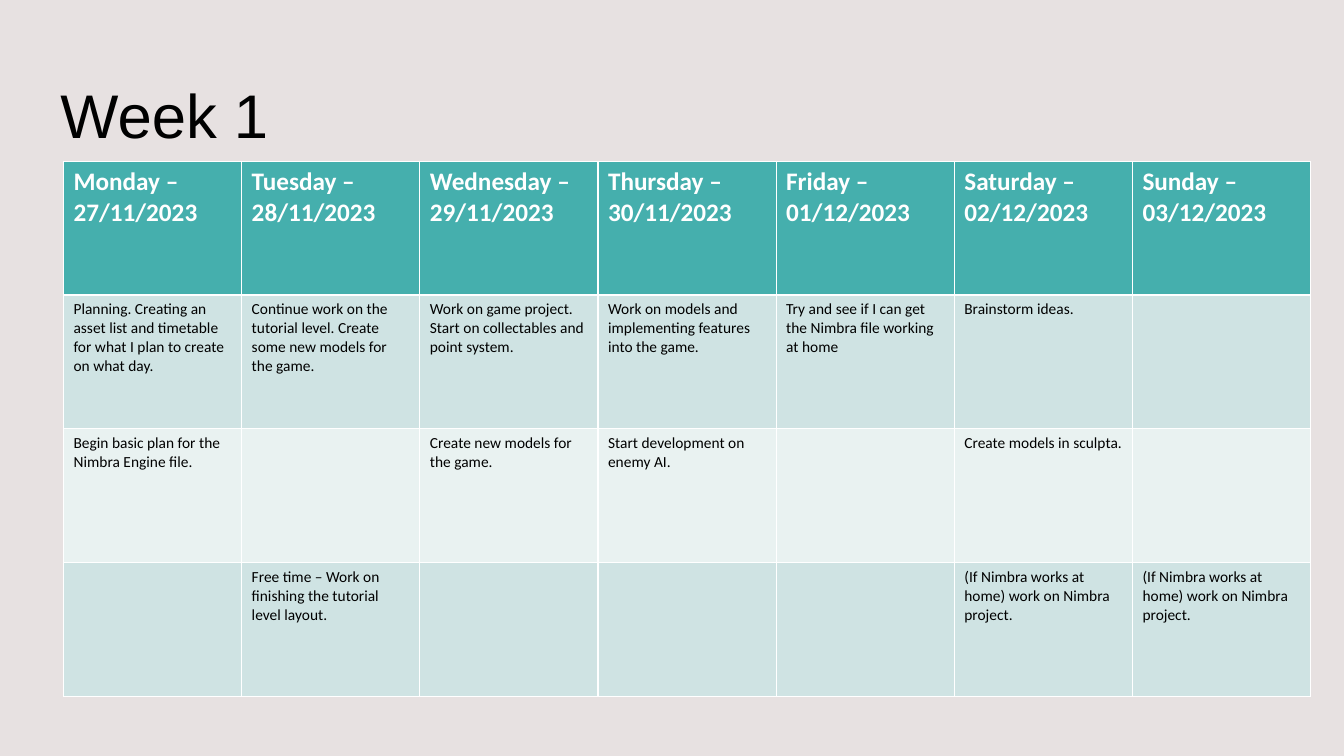
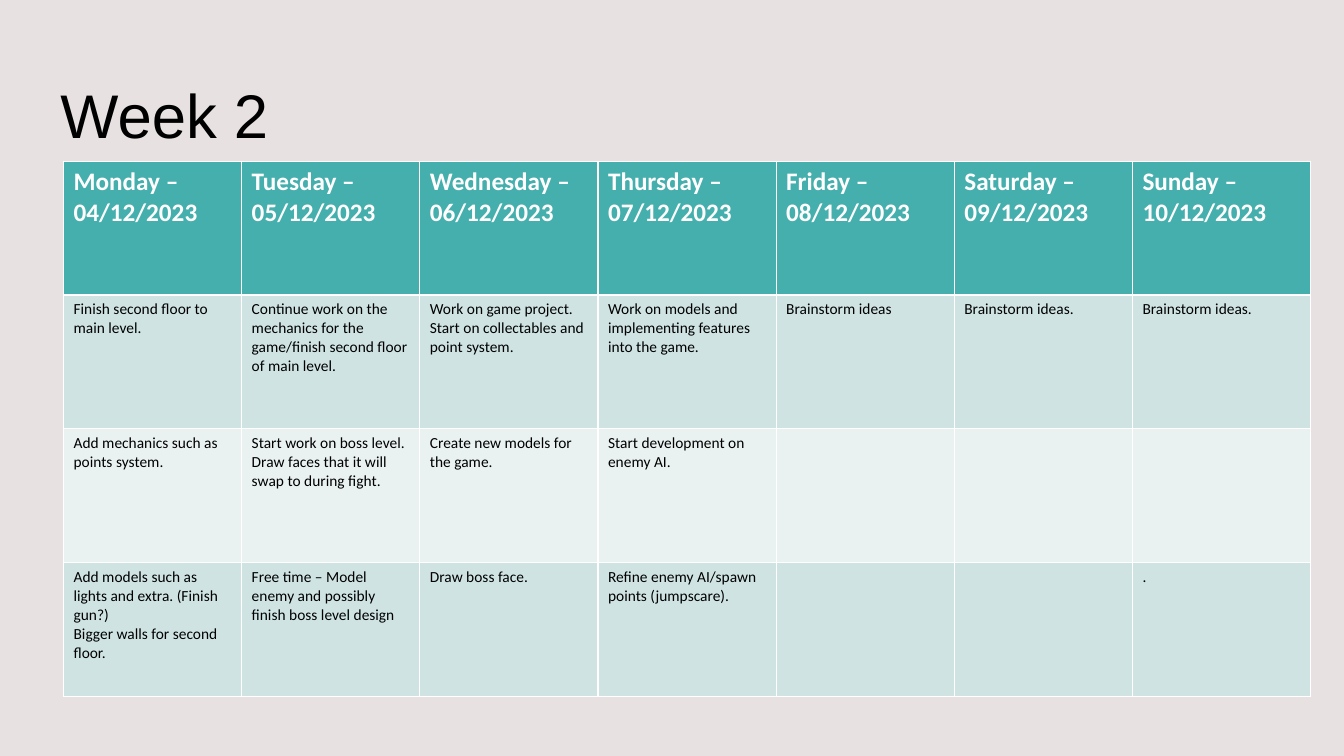
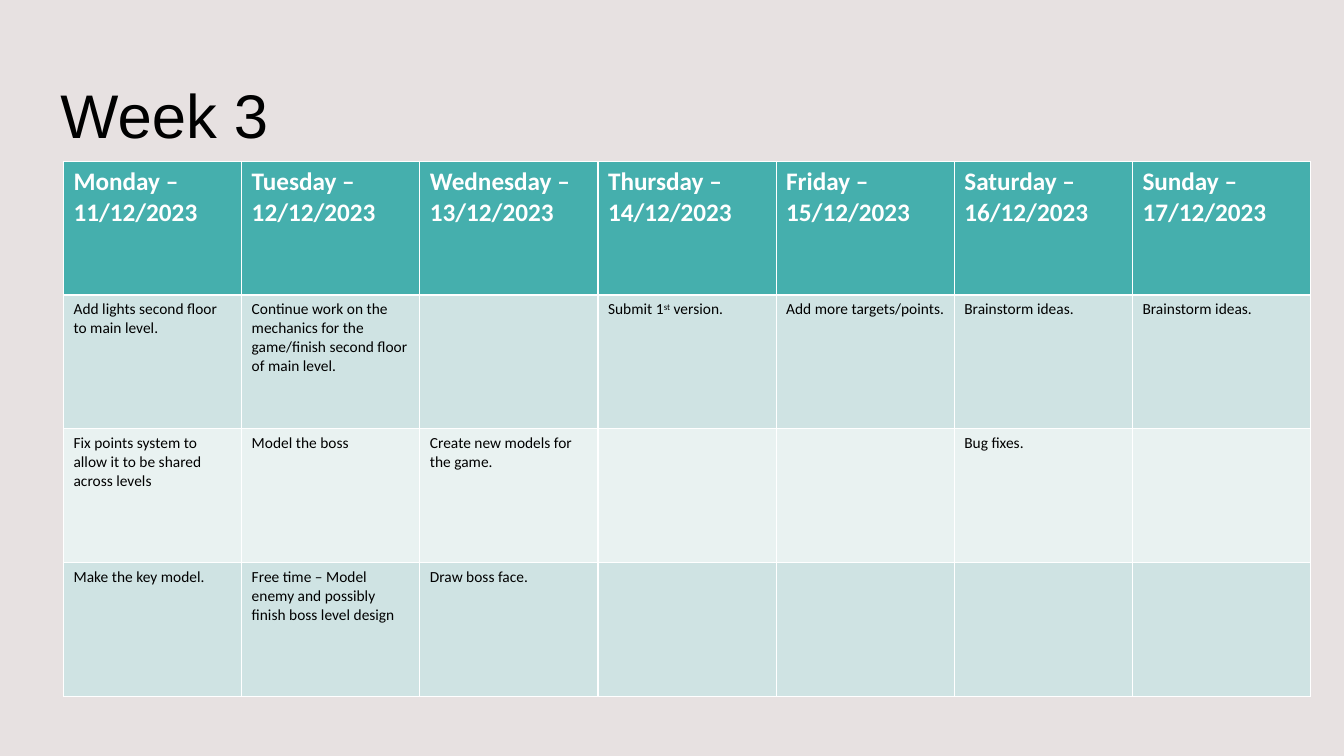
from dataclasses import dataclass

from lxml.etree import SubElement
from pptx import Presentation
from pptx.dml.color import RGBColor as Color
from pptx.enum.shapes import MSO_SHAPE as Preset
from pptx.enum.text import MSO_ANCHOR as Anchor, PP_ALIGN as Align
from pptx.oxml.ns import qn
from pptx.util import Inches, Pt


@dataclass(frozen=True)
class Theme:
    veil: Color = Color.from_string("DED5D5")
    header: Color = Color.from_string("45AFAD")
    bands: tuple = (Color.from_string("CFE3E3"), Color.from_string("E9F2F1"))
    white: Color = Color.from_string("FFFFFF")
    black: Color = Color.from_string("000000")


THEME = Theme()
TITLE_FONT = {"name": "Arial", "size": Pt(44), "bold": False}
HEADER_FONT = {"name": "Calibri", "size": Pt(18), "bold": True}
BODY_FONT = {"name": "Calibri", "size": Pt(11), "bold": False}
TITLE_BOX = {"left": Inches(0.5), "top": Inches(0.4), "width": Inches(11.92), "height": Inches(1.45)}
TABLE_BOX = {"left": Inches(0.63), "top": Inches(1.6), "width": Inches(12.37), "height": Inches(5.31)}

DAYS = ["Monday", "Tuesday", "Wednesday", "Thursday", "Friday", "Saturday", "Sunday"]
FIRST_MONDAY = 27
NOVEMBER_DAYS = 30

WEEKS = [
    [
        [
            "Planning. Creating an asset list and timetable for what I plan to create on what day.",
            "Continue work on the tutorial level. Create some new models for the game.",
            "Work on game project. Start on collectables and point system.",
            "Work on models and implementing features into the game.",
            "Try and see if I can get the Nimbra file working at home",
            "Brainstorm ideas.",
            "",
        ],
        [
            "Begin basic plan for the Nimbra Engine file.",
            "",
            "Create new models for the game.",
            "Start development on enemy AI.",
            "",
            "Create models in sculpta.",
            "",
        ],
        [
            "",
            "Free time – Work on finishing the tutorial level layout.",
            "",
            "",
            "",
            "(If Nimbra works at home) work on Nimbra project.",
            "(If Nimbra works at home) work on Nimbra project.",
        ],
    ],
    [
        [
            "Finish second floor to main level.",
            "Continue work on the mechanics for the game/finish second floor of main level.",
            "Work on game project. Start on collectables and point system.",
            "Work on models and implementing features into the game.",
            "Brainstorm ideas",
            "Brainstorm ideas.",
            "Brainstorm ideas.",
        ],
        [
            "Add mechanics such as points system.",
            "Start work on boss level. Draw faces that it will swap to during fight.",
            "Create new models for the game.",
            "Start development on enemy AI.",
            "",
            "",
            "",
        ],
        [
            "Add models such as lights and extra. (Finish gun?)\nBigger walls for second floor.",
            "Free time – Model enemy and possibly finish boss level design",
            "Draw boss face.",
            "Refine enemy AI/spawn points (jumpscare).",
            "",
            "",
            ".",
        ],
    ],
    [
        [
            "Add lights second floor to main level.",
            "Continue work on the mechanics for the game/finish second floor of main level.",
            "",
            "Submit 1^st^ version.",
            "Add more targets/points.",
            "Brainstorm ideas.",
            "Brainstorm ideas.",
        ],
        [
            "Fix points system to allow it to be shared across levels",
            "Model the boss",
            "Create new models for the game.",
            "",
            "",
            "Bug fixes.",
            "",
        ],
        [
            "Make the key model.",
            "Free time – Model enemy and possibly finish boss level design",
            "Draw boss face.",
            "",
            "",
            "",
            "",
        ],
    ],
]


def write(frame, text, font, color):
    for line_number, line in enumerate(text.split("\n")):
        para = frame.add_paragraph() if line_number else frame.paragraphs[0]
        para.alignment = Align.LEFT
        for part_number, part in enumerate(line.split("^")):
            span = para.add_run()
            span.text = part
            for name, value in font.items():
                setattr(span.font, name, value)
            span.font.color.rgb = color
            if part_number % 2:
                span._r.get_or_add_rPr().set("baseline", "30000")


def week_dates(week):
    for day_number, day in enumerate(DAYS):
        date = FIRST_MONDAY + week * len(DAYS) + day_number
        month = 11
        if date > NOVEMBER_DAYS:
            date, month = date - NOVEMBER_DAYS, 12
        yield f"{day} – {date:02}/{month}/2023"


deck = Presentation()
deck.slide_width, deck.slide_height = Inches(13.33), Inches(7.5)
layout = deck.slide_layouts.get_by_name("Title Only")
layout_title = layout.placeholders[0]
for name, value in TITLE_BOX.items():
    setattr(layout_title, name, value)
layout_title.text_frame.vertical_anchor = Anchor.MIDDLE

for week, tasks in enumerate(WEEKS):
    page = deck.slides.add_slide(layout)
    write(page.shapes.title.text_frame, f"Week {week + 1}", TITLE_FONT, THEME.black)

    rows = [list(week_dates(week)), *tasks]
    table = page.shapes.add_table(len(rows), len(DAYS), **TABLE_BOX).table
    for row_number, row in enumerate(rows):
        for column_number, text in enumerate(row):
            cell = table.cell(row_number, column_number)
            cell.fill.solid()
            if row_number == 0:
                cell.fill.fore_color.rgb = THEME.header
                write(cell.text_frame, text, HEADER_FONT, THEME.white)
            else:
                cell.fill.fore_color.rgb = THEME.bands[(row_number - 1) % 2]
                if text:
                    write(cell.text_frame, text, BODY_FONT, THEME.black)

veil = page.shapes.add_shape(Preset.RECTANGLE, 0, 0, deck.slide_width, deck.slide_height)
veil.shadow.inherit = False
veil.line.fill.background()
veil.fill.solid()
veil.fill.fore_color.rgb = THEME.veil
veil_color = veil.element.spPr.find(qn("a:solidFill")).find(qn("a:srgbClr"))
SubElement(veil_color, qn("a:alpha")).set("val", "70000")
veil.element.nvSpPr.cNvPr.set("id", "20")
deck.slide_master.element.cSld.spTree.insert(2, veil.element)

deck.save("out.pptx")
